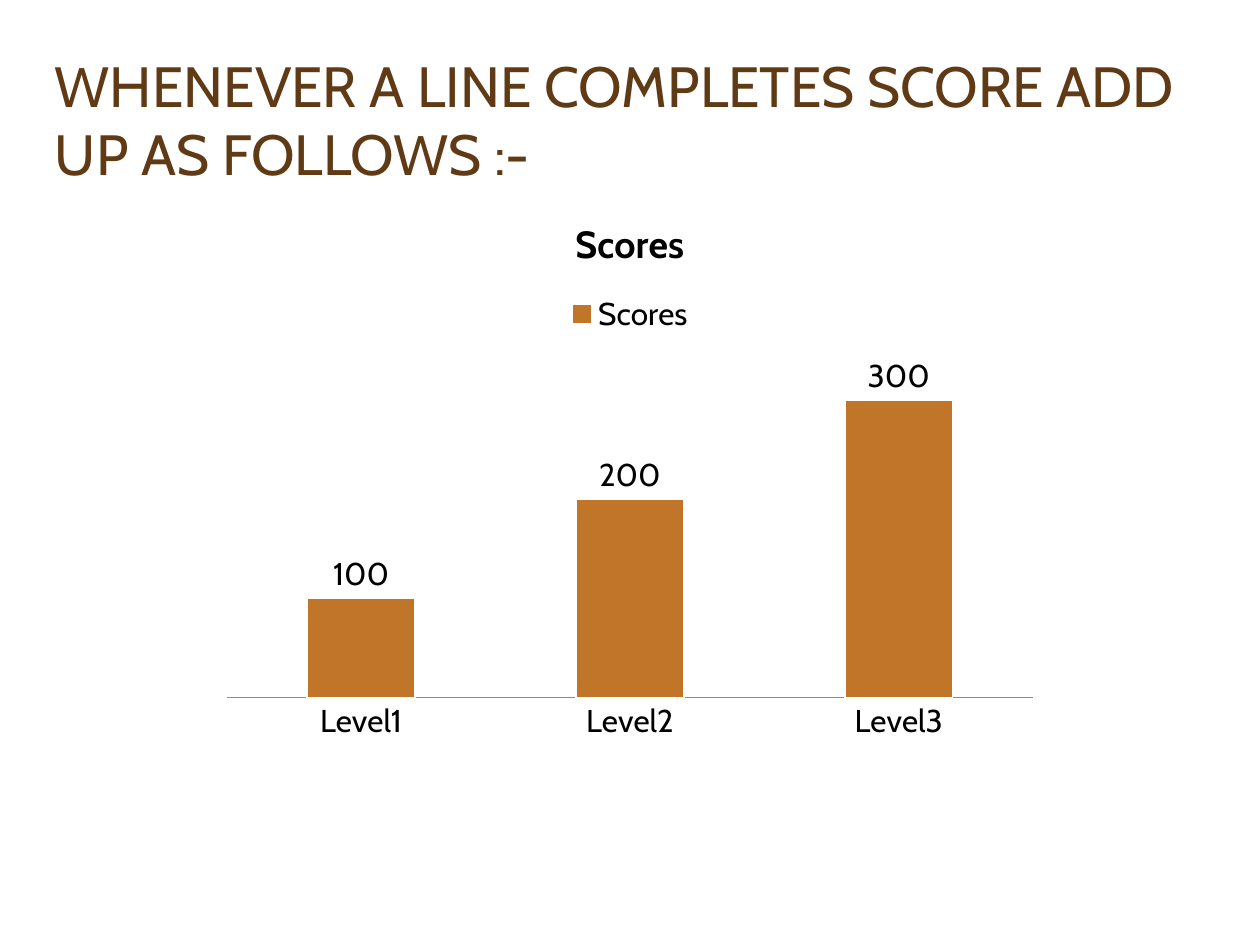
from dataclasses import dataclass

from pptx import Presentation
from pptx.chart.data import CategoryChartData
from pptx.dml.color import RGBColor
from pptx.enum.chart import (XL_CHART_TYPE, XL_LABEL_POSITION,
                             XL_LEGEND_POSITION, XL_TICK_MARK)
from pptx.enum.text import MSO_ANCHOR, PP_ALIGN
from pptx.util import Emu, Pt

COLUMNS = XL_CHART_TYPE.COLUMN_CLUSTERED
LEGEND_TOP = XL_LEGEND_POSITION.TOP
LABEL_ABOVE = XL_LABEL_POSITION.OUTSIDE_END
NO_TICK = XL_TICK_MARK.NONE
MIDDLE = MSO_ANCHOR.MIDDLE
LEFT = PP_ALIGN.LEFT

PX = 914400 // 126
SLIDE_SIZE = (1260, 945)
BLANK_LAYOUT = 6


@dataclass(frozen=True)
class Theme:
    font: str = "Cabin"
    heading: RGBColor = RGBColor(0x60, 0x3A, 0x14)
    text: RGBColor = RGBColor(0, 0, 0)
    bar: RGBColor = RGBColor(0xC1, 0x75, 0x29)
    bar_edge: RGBColor = RGBColor(0xFF, 0xFF, 0xFF)
    axis: RGBColor = RGBColor(0x8B, 0x8B, 0x8B)
    heading_size: float = 32.4
    chart_title_size: float = 21.6
    chart_size: float = 18


def px(*lengths):
    return [Emu(length * PX) for length in lengths]


class SlideBuilder:
    def __init__(self, slide, theme):
        self.slide = slide
        self.theme = theme

    def style_font(self, font, size, color, bold=False):
        font.name = self.theme.font
        font.size = Pt(size)
        font.color.rgb = color
        font.bold = bold

    def heading(self, text, box, insets):
        """Add a heading; insets are left, top, right and bottom."""
        shape = self.slide.shapes.add_textbox(*px(*box))
        frame = shape.text_frame
        frame.word_wrap = True
        frame.vertical_anchor = MIDDLE
        (frame.margin_left, frame.margin_top,
         frame.margin_right, frame.margin_bottom) = px(*insets)
        paragraph = frame.paragraphs[0]
        paragraph.alignment = LEFT
        run = paragraph.add_run()
        run.text = text
        self.style_font(run.font, self.theme.heading_size, self.theme.heading)

    def column_chart(self, title, scores, box):
        theme = self.theme
        data = CategoryChartData()
        data.categories = list(scores)
        data.add_series(title, list(scores.values()))
        chart = self.slide.shapes.add_chart(COLUMNS, *px(*box), data).chart
        self.style_font(chart.font, theme.chart_size, theme.text)

        chart.has_title = True
        run = chart.chart_title.text_frame.paragraphs[0].add_run()
        run.text = title
        self.style_font(run.font, theme.chart_title_size, theme.text, bold=True)

        chart.has_legend = True
        chart.legend.position = LEGEND_TOP
        chart.legend.include_in_layout = False

        chart.value_axis.visible = False
        chart.value_axis.has_major_gridlines = False
        chart.category_axis.major_tick_mark = NO_TICK
        chart.category_axis.format.line.color.rgb = theme.axis

        plot = chart.plots[0]
        plot.gap_width = 150
        plot.vary_by_categories = False
        plot.has_data_labels = True
        plot.data_labels.show_value = True
        plot.data_labels.position = LABEL_ABOVE

        bars = plot.series[0].format
        bars.fill.solid()
        bars.fill.fore_color.rgb = theme.bar
        bars.line.color.rgb = theme.bar_edge
        bars.line.width = Pt(1)


def main():
    presentation = Presentation()
    presentation.slide_width, presentation.slide_height = px(*SLIDE_SIZE)
    slide = presentation.slides.add_slide(
        presentation.slide_layouts[BLANK_LAYOUT])
    builder = SlideBuilder(slide, Theme())
    builder.heading("WHENEVER A LINE COMPLETES SCORE ADD UP AS FOLLOWS :-",
                    box=(42, 95, 1197, 116), insets=(13, 6, 13, 74))
    builder.column_chart("Scores",
                         {"Level1": 100, "Level2": 200, "Level3": 300},
                         box=(210, 193, 840, 559))
    presentation.save("out.pptx")


if __name__ == "__main__":
    main()
